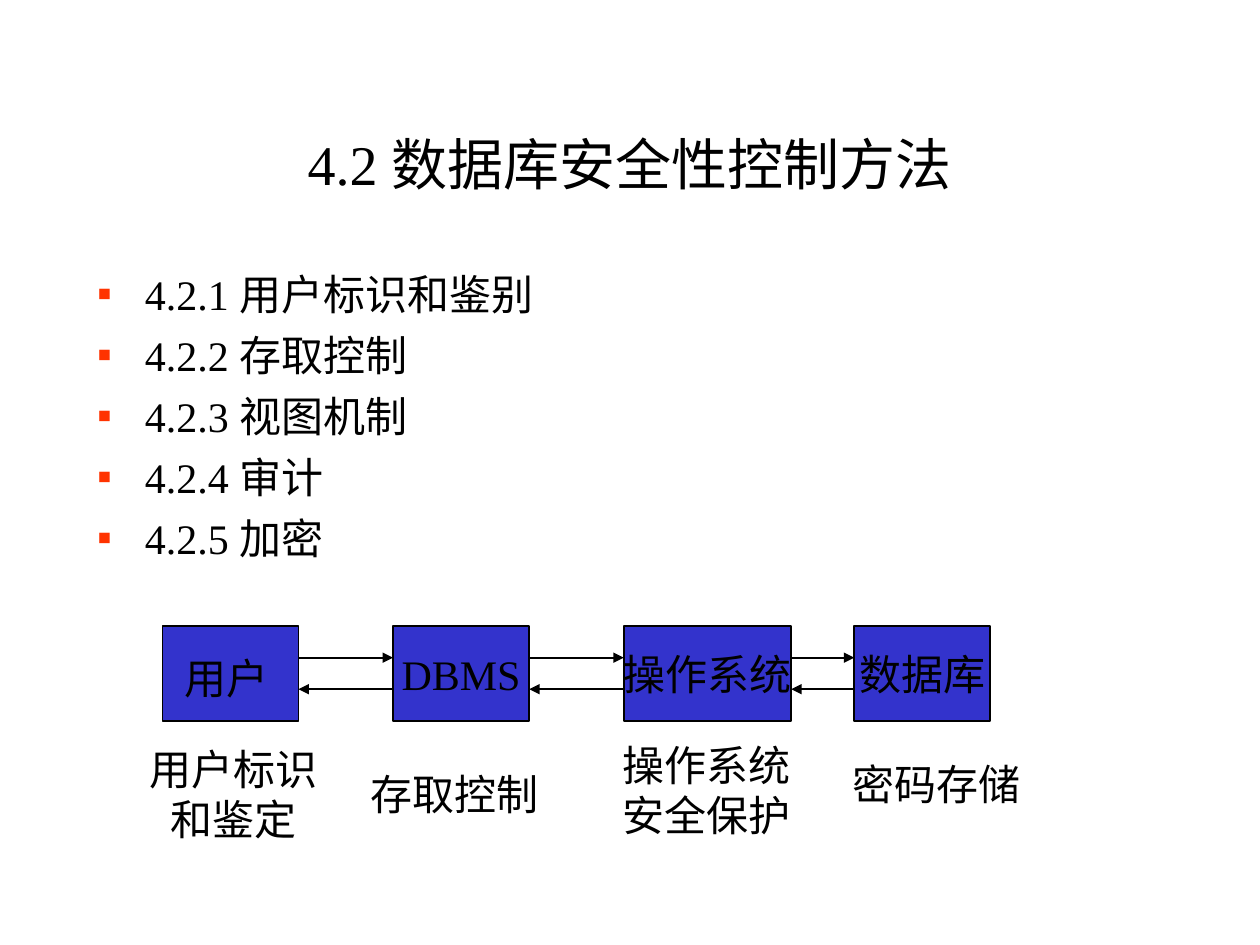
from dataclasses import dataclass
from itertools import pairwise

from lxml.etree import SubElement
from pptx import Presentation
from pptx.dml.color import RGBColor
from pptx.enum.shapes import MSO_CONNECTOR as Connector, MSO_SHAPE as Shape
from pptx.enum.text import MSO_ANCHOR as Anchor, MSO_AUTO_SIZE as AutoSize, PP_ALIGN as Align
from pptx.oxml.ns import qn
from pptx.util import Inches, Pt

COLORS = {"text": "000000", "box": "3333CC", "line": "000000", "bullet": "FF3300"}
FONT = "Times New Roman"

BOX_LEFT, BOX_PITCH = 1.29, 1.83
BOX_TOP, BOX_HEIGHT = 4.97, 0.75
FORWARD_Y, BACKWARD_Y = 5.22, 5.47
LABEL_WIDTH = 1.53

TOPICS = ["4.2.1 用户标识和鉴别", "4.2.2 存取控制", "4.2.3 视图机制", "4.2.4 审计", "4.2.5 加密"]


@dataclass
class Stage:
    name: str
    width: float
    measure: list[str]
    label_left: float
    label_top: float
    label_height: float


STAGES = [
    Stage("", 1.08, ["用户标识", "和鉴定"], 1.09, 5.85, 0.9),
    Stage("DBMS", 1.08, ["存取控制"], 2.84, 6.05, 0.5),
    Stage("操作系统", 1.33, ["操作系统", "安全保护"], 4.84, 5.82, 0.9),
    Stage("数据库", 1.08, ["密码存储"], 6.67, 5.97, 0.5),
]


def color(name: str) -> RGBColor:
    return RGBColor.from_string(COLORS[name])


def write(frame, lines: list[str], *, size: int = 24, align=Align.CENTER,
          anchor=Anchor.MIDDLE, wrap: bool = False, fit=AutoSize.NONE) -> None:
    frame.word_wrap = wrap
    frame.auto_size = fit
    frame.vertical_anchor = anchor
    for index, line in enumerate(lines):
        para = frame.paragraphs[0] if index == 0 else frame.add_paragraph()
        para.alignment = align
        span = para.add_run()
        span.text = line
        span.font.name = FONT
        span.font.size = Pt(size)
        span.font.color.rgb = color("text")


def place(shape, left: float, top: float, width: float, height: float) -> None:
    shape.left, shape.top = Inches(left), Inches(top)
    shape.width, shape.height = Inches(width), Inches(height)


def add_bullet(para) -> None:
    para.space_before = Pt(6)
    props = para._p.get_or_add_pPr()
    props.set("marL", str(Inches(0.38)))
    props.set("indent", str(-Inches(0.38)))
    tint = SubElement(props, qn("a:buClr"))
    SubElement(tint, qn("a:srgbClr"), val=COLORS["bullet"])
    SubElement(props, qn("a:buFont"), typeface=FONT)
    SubElement(props, qn("a:buChar"), char="▪")


def add_label(page, lines: list[str], left: float, top: float, width: float, height: float) -> None:
    label = page.shapes.add_textbox(Inches(left), Inches(top), Inches(width), Inches(height))
    write(label.text_frame, lines, fit=AutoSize.SHAPE_TO_FIT_TEXT)


def add_box(page, stage: Stage, left: float) -> None:
    box = page.shapes.add_shape(Shape.RECTANGLE, Inches(left), Inches(BOX_TOP),
                                Inches(stage.width), Inches(BOX_HEIGHT))
    box.shadow.inherit = False
    box.fill.solid()
    box.fill.fore_color.rgb = color("box")
    box.line.color.rgb = color("line")
    box.line.width = Pt(1)
    if stage.name:
        write(box.text_frame, [stage.name])


def add_arrow(page, start: float, end: float, y: float) -> None:
    arrow = page.shapes.add_connector(Connector.STRAIGHT, Inches(start), Inches(y),
                                      Inches(end), Inches(y))
    arrow.line.color.rgb = color("line")
    arrow.line.width = Pt(1)
    SubElement(arrow.line._get_or_add_ln(), qn("a:tailEnd"), type="triangle")
    SubElement(arrow._element.spPr, qn("a:effectLst"))


def main() -> None:
    deck = Presentation()
    deck.slide_width, deck.slide_height = Inches(10), Inches(7.5)
    page = deck.slides.add_slide(deck.slide_layouts[1])

    title, body = page.placeholders
    place(title, 0.75, 0.82, 8.5, 0.95)
    write(title.text_frame, ["4.2 数据库安全性控制方法"], size=32, wrap=True)
    place(body, 0.67, 2.08, 9, 2.42)
    write(body.text_frame, TOPICS, align=Align.LEFT, anchor=Anchor.TOP, wrap=True)
    for para in body.text_frame.paragraphs:
        add_bullet(para)

    lefts = [BOX_LEFT + BOX_PITCH * index for index in range(len(STAGES))]
    for stage, left in zip(STAGES, lefts):
        add_box(page, stage, left)
        add_label(page, stage.measure, stage.label_left, stage.label_top,
                  LABEL_WIDTH, stage.label_height)
    add_label(page, ["用户"], 1.34, 5.13, 0.92, 0.5)

    for (stage, left), (_, next_left) in pairwise(zip(STAGES, lefts)):
        right = left + stage.width
        add_arrow(page, right, next_left, FORWARD_Y)
        add_arrow(page, next_left, right, BACKWARD_Y)

    deck.save("out.pptx")


if __name__ == "__main__":
    main()
